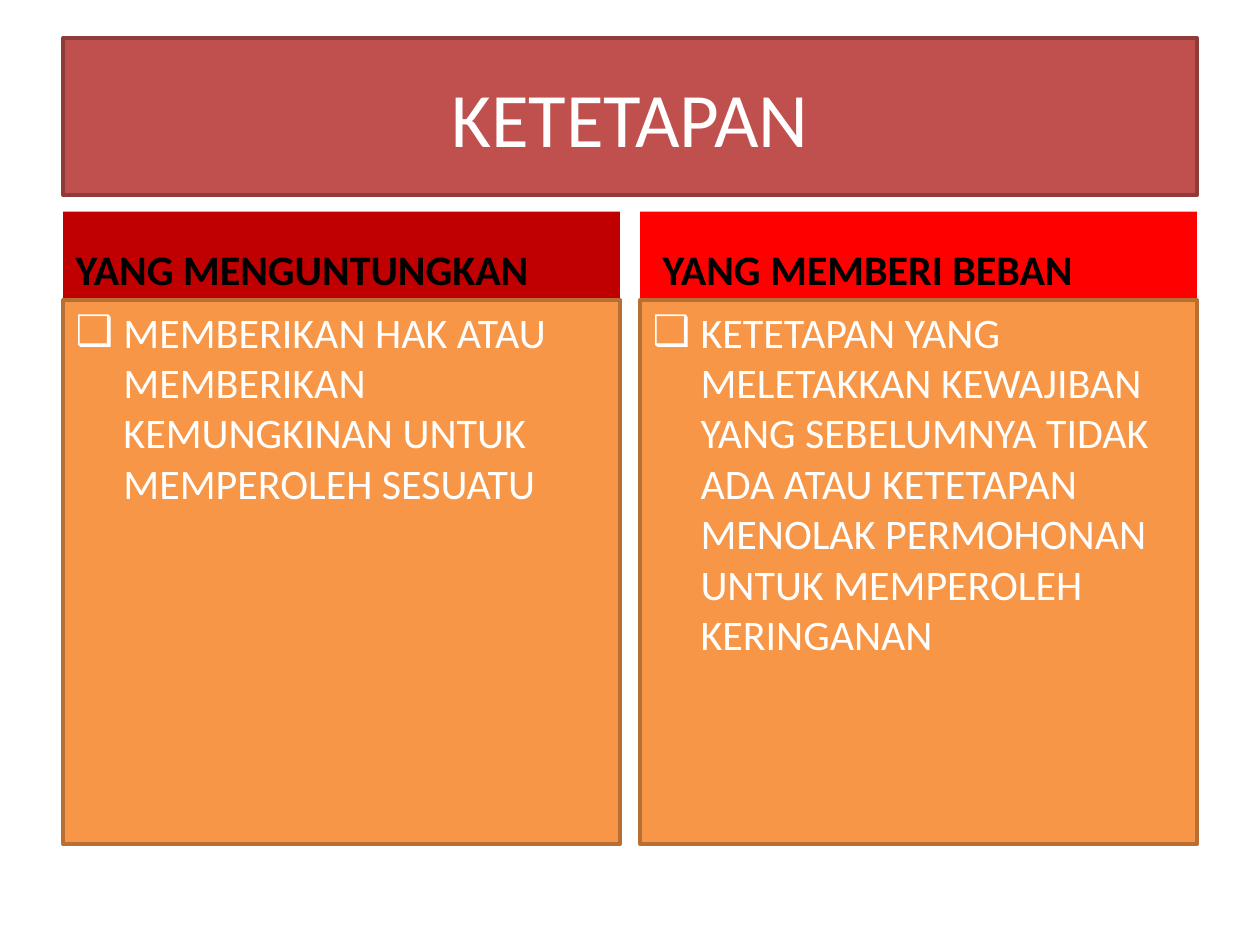
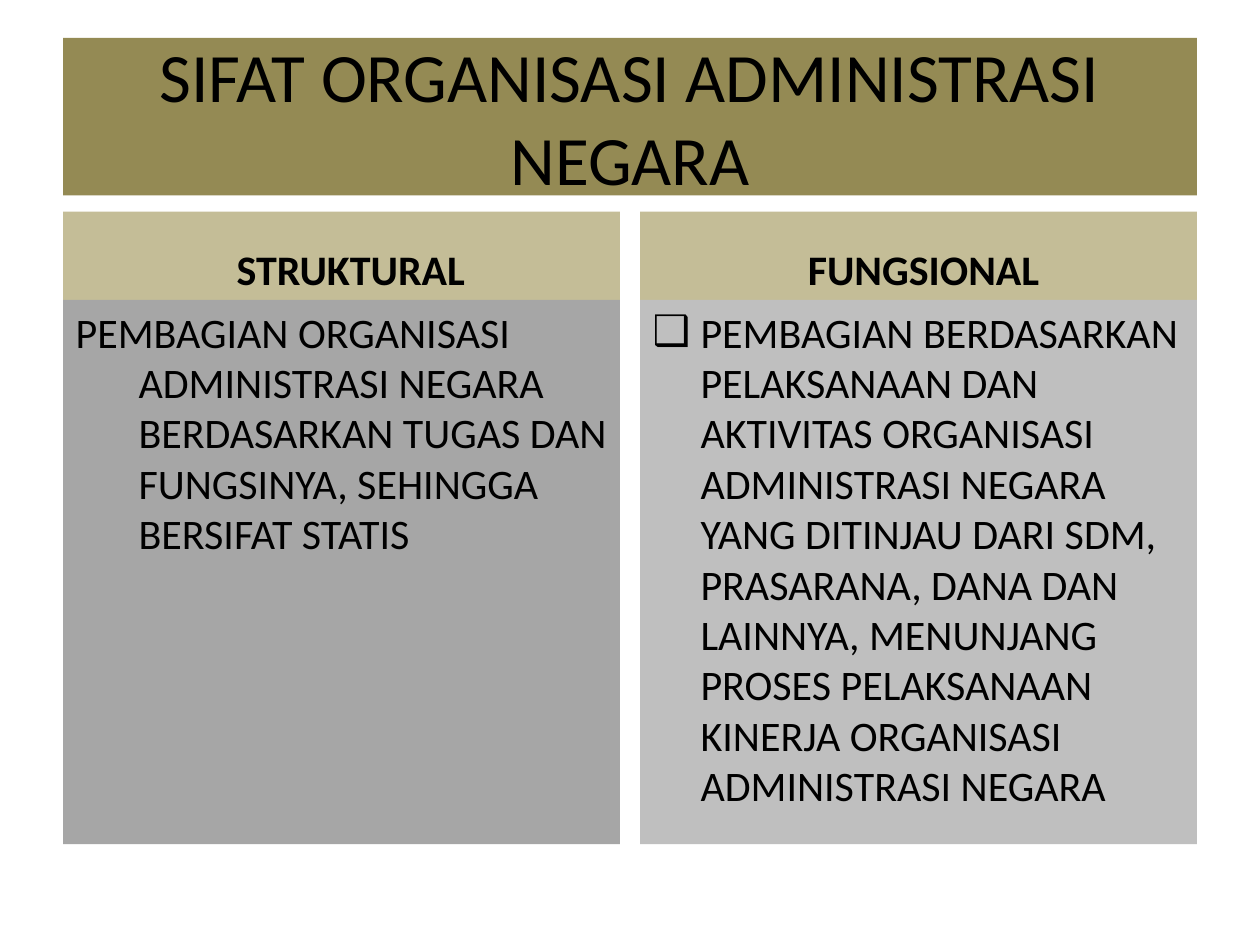
from collections import namedtuple

from lxml import etree
from pptx import Presentation, util as u
from pptx.dml.color import RGBColor
from pptx.enum import text
from pptx.oxml.ns import qn

Box = namedtuple("Box", "left top width height")
Column = namedtuple("Column", "heading heading_format body body_format")

COLORS = {
    "white": "FFFFFF", "black": "000000",
    "brick": "C0504D", "brick_edge": "8E3B39",
    "dark_red": "C00000", "red": "FF0000",
    "orange": "F79646", "orange_edge": "B76F34",
    "olive": "948A54", "sand": "C4BD97",
    "gray": "A6A6A6", "light_gray": "BFBFBF",
}
FONT = "Calibri"
COMPARISON_LAYOUT = 4
TITLE_BOX = Box(0.5, 0.3, 9, 1.25)
CONTENT_BOX = Box(0.5, 1.68, 9, 5.02)
COLUMN_GAP = 0.16
HEADING_HEIGHT = 0.7
MIDDLE, BOTTOM, TOP = (text.MSO_ANCHOR.MIDDLE, text.MSO_ANCHOR.BOTTOM,
                       text.MSO_ANCHOR.TOP)
CENTER, LEFT = text.PP_ALIGN.CENTER, text.PP_ALIGN.LEFT
CHECKBOX = {"bullet": "❑", "margin": 0.38, "hanging": 0.38}


def color(name):
    return RGBColor.from_string(COLORS[name])


def apply(target, values):
    for name, value in values.items():
        setattr(target, name, value)


def set_bullet(paragraph, bullet, margin, hanging):
    properties = paragraph._p.get_or_add_pPr()
    properties.set("marL", str(u.Inches(margin)))
    properties.set("indent", str(u.Inches(-hanging)))
    if bullet:
        etree.SubElement(properties, qn("a:buChar")).set("char", bullet)
    else:
        etree.SubElement(properties, qn("a:buNone"))


def fill_panel(shape, box, words, fill, edge=None, ink="black", size=24,
               bold=False, anchor=TOP, align=LEFT,
               bullet=None, margin=0, hanging=0):
    apply(shape, {name: u.Inches(value)
                  for name, value in box._asdict().items()})
    shape.fill.solid()
    shape.fill.fore_color.rgb = color(fill)
    if edge:
        shape.line.color.rgb = color(edge)
        shape.line.width = u.Pt(2)
    else:
        shape.line.fill.background()

    frame = shape.text_frame
    apply(frame, {"word_wrap": True, "vertical_anchor": anchor,
                  "auto_size": text.MSO_AUTO_SIZE.NONE})
    paragraph = frame.paragraphs[0]
    set_bullet(paragraph, bullet, margin, hanging)
    apply(paragraph, {"alignment": align, "space_before": u.Pt(0)})
    run = paragraph.add_run()
    run.text = words
    apply(run.font, {"name": FONT, "size": u.Pt(size), "bold": bold})
    run.font.color.rgb = color(ink)


def fill_column(heading_shape, body_shape, box, column):
    heading_box = box._replace(height=HEADING_HEIGHT)
    body_box = box._replace(top=box.top + HEADING_HEIGHT,
                            height=box.height - HEADING_HEIGHT)
    fill_panel(heading_shape, heading_box, column.heading, bold=True,
               anchor=BOTTOM, **column.heading_format)
    fill_panel(body_shape, body_box, column.body, **column.body_format)


def add_comparison(presentation, title, title_format, columns):
    slide = presentation.slides.add_slide(
        presentation.slide_layouts[COMPARISON_LAYOUT])
    fill_panel(slide.shapes.title, TITLE_BOX, title, anchor=MIDDLE,
               align=CENTER, **title_format)
    width = (CONTENT_BOX.width - COLUMN_GAP) / 2
    for index, column in enumerate(columns):
        left = CONTENT_BOX.left + index * (width + COLUMN_GAP)
        fill_column(slide.placeholders[2 * index + 1],
                    slide.placeholders[2 * index + 2],
                    CONTENT_BOX._replace(left=left, width=width), column)


def main():
    presentation = Presentation()
    apply(presentation, {"slide_width": u.Inches(10),
                         "slide_height": u.Inches(7.5)})

    orange_body = {"fill": "orange", "edge": "orange_edge", "ink": "white",
                   **CHECKBOX}
    add_comparison(
        presentation, "KETETAPAN",
        {"fill": "brick", "edge": "brick_edge", "ink": "white", "size": 44},
        [Column("YANG MENGUNTUNGKAN", {"fill": "dark_red"},
                "MEMBERIKAN HAK ATAU MEMBERIKAN KEMUNGKINAN UNTUK "
                "MEMPEROLEH SESUATU", orange_body),
         Column("YANG MEMBERI BEBAN", {"fill": "red", "margin": 0.08},
                "KETETAPAN YANG MELETAKKAN KEWAJIBAN YANG SEBELUMNYA TIDAK "
                "ADA ATAU KETETAPAN MENOLAK PERMOHONAN UNTUK MEMPEROLEH "
                "KERINGANAN", orange_body)])

    sand_heading = {"fill": "sand", "align": CENTER}
    add_comparison(
        presentation, "SIFAT ORGANISASI ADMINISTRASI NEGARA",
        {"fill": "olive", "size": 39.6},
        [Column("STRUKTURAL", {**sand_heading, "margin": 0.15},
                "PEMBAGIAN ORGANISASI ADMINISTRASI NEGARA BERDASARKAN TUGAS "
                "DAN FUNGSINYA, SEHINGGA BERSIFAT STATIS",
                {"fill": "gray", "margin": 0.5, "hanging": 0.5}),
         Column("FUNGSIONAL", {**sand_heading, "margin": 0.08},
                "PEMBAGIAN BERDASARKAN PELAKSANAAN DAN AKTIVITAS ORGANISASI "
                "ADMINISTRASI NEGARA YANG DITINJAU DARI SDM, PRASARANA, DANA "
                "DAN LAINNYA, MENUNJANG PROSES PELAKSANAAN KINERJA "
                "ORGANISASI ADMINISTRASI NEGARA",
                {"fill": "light_gray", **CHECKBOX})])

    presentation.save("out.pptx")


if __name__ == "__main__":
    main()
